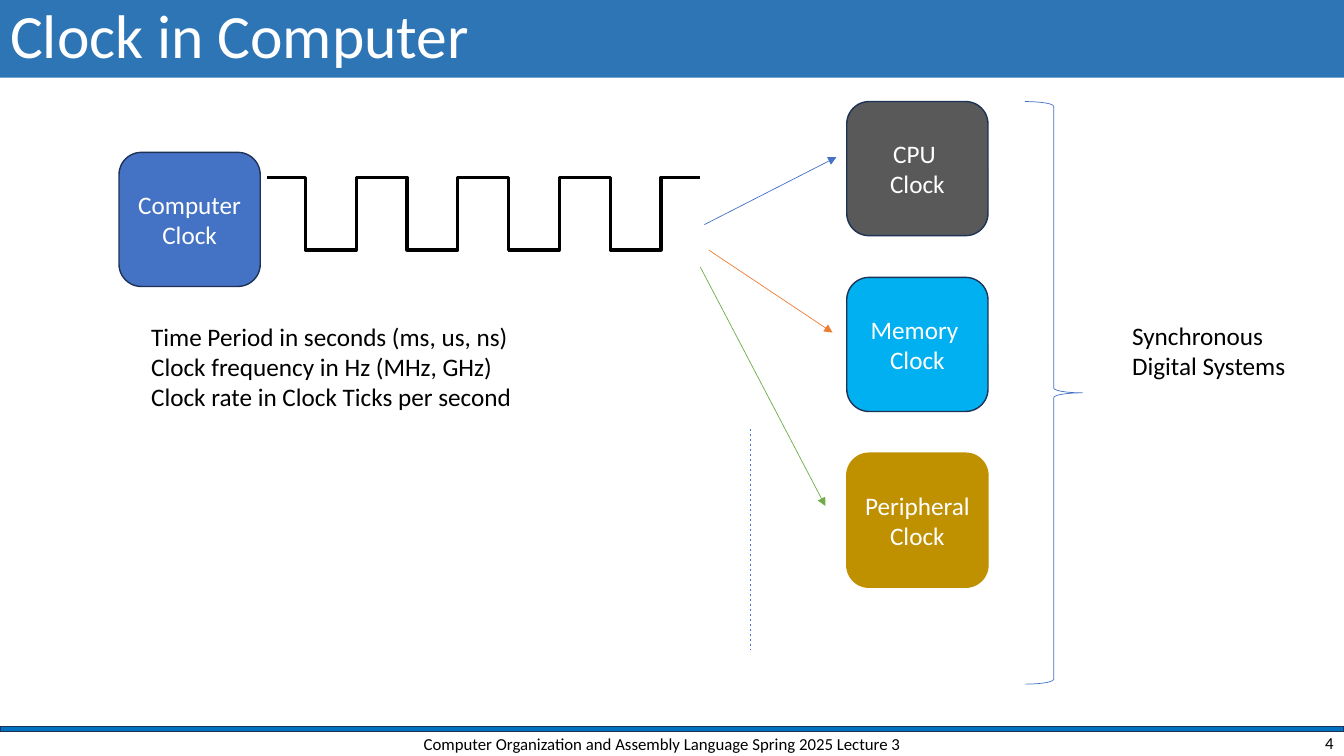
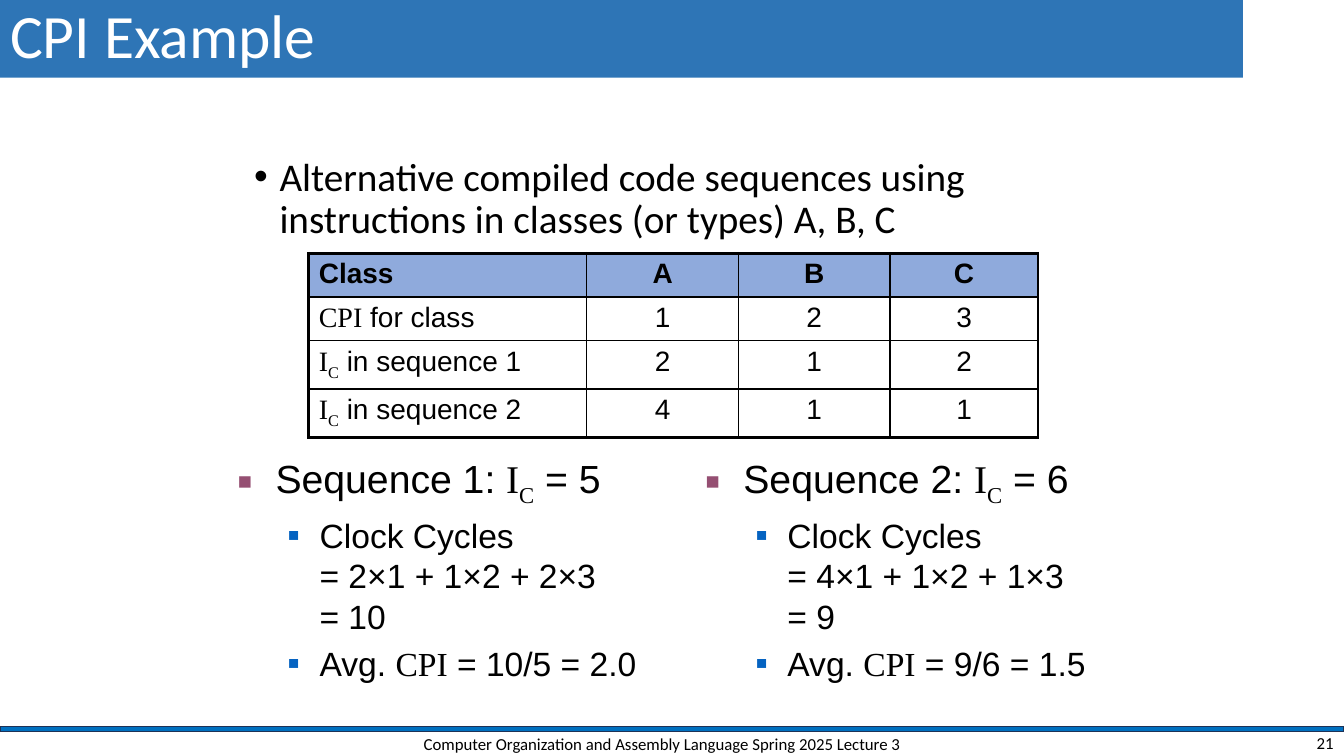
from collections import namedtuple
from dataclasses import dataclass

from lxml import etree
from pptx import Presentation
from pptx import util as u
from pptx.dml import color
from pptx.enum import dml, shapes, text
from pptx.oxml import ns


@dataclass(frozen=True)
class Theme:
    title_band: str = "2E75B6"
    footer_band: str = "0070C0"
    outline: str = "1E3256"
    blue: str = "4472C4"
    gray: str = "595959"
    sky: str = "00B0F0"
    gold: str = "BF9000"
    orange: str = "ED7D31"
    green: str = "70AD47"
    header: str = "8FAADC"
    plum: str = "954F72"
    link: str = "0563C1"
    black: str = "000000"
    white: str = "FFFFFF"
    main: str = "Calibri"
    sans: str = "Arial"
    serif: str = "Times New Roman"
    title_size: int = 44
    list_size: int = 28
    sublist_size: int = 24
    table_size: int = 20
    label_size: int = 18
    footer_size: int = 12
    hairline: float = 0.5
    thin: float = 1
    thick: float = 2.25


THEME = Theme()
WIDTH, HEIGHT = 33.87, 19.05
TITLE_HEIGHT = 1.96
FOOTER = "Computer Organization and Assembly Language Spring 2025 Lecture 3"
TITLE_ONLY, COMPARISON = 5, 4

Piece = namedtuple("Piece", "text subscript")
Bullet = namedtuple("Bullet", "char color percent indent hanging level")

CPI = Piece("CPI", False)
IC = (Piece("I", False), Piece("C", True))

DOT = Bullet("•", THEME.black, 100, 0.64, 0.64, 0)
MAIN_SQUARE = Bullet("■", THEME.plum, 60, 0.95, 0.95, 0)
SUB_SQUARE = Bullet("■", THEME.link, 55, 2.06, 0.79, 1)


def rgb(value):
    return color.RGBColor.from_string(value)


class Deck:
    def __init__(self, theme):
        self.theme = theme
        self.presentation = Presentation()
        self.presentation.slide_width = u.Cm(WIDTH)
        self.presentation.slide_height = u.Cm(HEIGHT)
        self.slide = None

    def new_slide(self, title, number, layout, title_width=WIDTH):
        layouts = self.presentation.slide_layouts
        self.slide = self.presentation.slides.add_slide(layouts[layout])
        theme = self.theme
        self.shape(shapes.MSO_SHAPE.RECTANGLE, (0, 18.31, WIDTH, 0.13),
                   theme.footer_band, theme.outline)
        shape = self.slide.shapes.title
        self.place(shape, (0, 0, title_width, TITLE_HEIGHT))
        shape.fill.solid()
        shape.fill.fore_color.rgb = rgb(theme.title_band)
        frame = shape.text_frame
        frame.text = title
        frame.auto_size = text.MSO_AUTO_SIZE.NONE
        frame.vertical_anchor = text.MSO_ANCHOR.MIDDLE
        frame.paragraphs[0].line_spacing = 0.9
        self.style_frame(frame, theme.title_size, theme.white)
        self.label(FOOTER, (9.96, 18.39, 13.46, 0.71), theme.footer_size,
                   text.PP_ALIGN.CENTER, text.MSO_ANCHOR.MIDDLE)
        self.label(number, (26.24, 18.39, 7.62, 0.64), theme.footer_size,
                   text.PP_ALIGN.RIGHT, text.MSO_ANCHOR.MIDDLE)

    def place(self, shape, box):
        shape.left, shape.top, shape.width, shape.height = map(u.Cm, box)

    def style_run(self, run, size, value, name, bold=False):
        font = run.font
        font.size, font.name, font.bold = u.Pt(size), name, bold
        font.color.rgb = rgb(value)

    def style_frame(self, frame, size, value, alignment=text.PP_ALIGN.LEFT):
        for paragraph in frame.paragraphs:
            paragraph.alignment = alignment
            for run in paragraph.runs:
                self.style_run(run, size, value, self.theme.main)

    def add_pieces(self, paragraph, pieces, size, name, bold=False):
        theme = self.theme
        for piece in pieces:
            if isinstance(piece, Piece):
                run = paragraph.add_run()
                run.text = piece.text
                self.style_run(run, size, theme.black, theme.serif, bold)
                if piece.subscript:
                    run.font._element.set("baseline", "-25000")
                continue
            for index, line in enumerate(piece.split("\n")):
                if index:
                    paragraph.add_line_break()
                run = paragraph.add_run()
                run.text = line
                self.style_run(run, size, theme.black, name, bold)

    def label(self, content, box, size, alignment=text.PP_ALIGN.LEFT,
              anchor=text.MSO_ANCHOR.TOP):
        frame = self.slide.shapes.add_textbox(*map(u.Cm, box)).text_frame
        frame.word_wrap = True
        frame.vertical_anchor = anchor
        frame.text = content
        self.style_frame(frame, size, self.theme.black, alignment)

    def shape(self, kind, box, fill, line, width=THEME.thin):
        shape = self.slide.shapes.add_shape(kind, *map(u.Cm, box))
        shape.shadow.inherit = False
        if fill:
            shape.fill.solid()
            shape.fill.fore_color.rgb = rgb(fill)
        else:
            shape.fill.background()
        shape.line.color.rgb = rgb(line)
        shape.line.width = u.Pt(width)
        return shape

    def clock(self, name, left, top, fill, line=THEME.outline):
        shape = self.shape(shapes.MSO_SHAPE.ROUNDED_RECTANGLE,
                           (left, top, 3.56, 3.38), fill, line)
        frame = shape.text_frame
        frame.text = f"{name} \nClock"
        frame.vertical_anchor = text.MSO_ANCHOR.MIDDLE
        self.style_frame(frame, self.theme.label_size, self.theme.white,
                         text.PP_ALIGN.CENTER)

    def connector(self, start, end, value, width=THEME.hairline,
                  kind=shapes.MSO_CONNECTOR.STRAIGHT, arrow=False, dash=None):
        connector = self.slide.shapes.add_connector(
            kind, *map(u.Cm, (*start, *end)))
        line = connector.line
        line.color.rgb = rgb(value)
        line.width = u.Pt(width)
        if dash:
            line.dash_style = dash
        properties = connector._element.spPr
        if arrow:
            etree.SubElement(properties.find(ns.qn("a:ln")),
                             ns.qn("a:tailEnd"), type="triangle")
        etree.SubElement(properties, ns.qn("a:effectLst"))

    def square_wave(self, first_edge, pitch, high, low, count):
        reach = 0.97
        for index in range(count):
            edge = first_edge + index * pitch
            before, after = (low, high) if index % 2 else (high, low)
            self.connector((edge - reach, before), (edge + reach, after),
                           self.theme.black, self.theme.thick,
                           shapes.MSO_CONNECTOR.ELBOW)

    def bullet(self, paragraph, bullet):
        paragraph.level = bullet.level
        properties = paragraph._p.get_or_add_pPr()
        properties.set("marL", str(u.Cm(bullet.indent)))
        properties.set("indent", str(-u.Cm(bullet.hanging)))
        tint = etree.SubElement(properties, ns.qn("a:buClr"))
        etree.SubElement(tint, ns.qn("a:srgbClr"), val=bullet.color)
        etree.SubElement(properties, ns.qn("a:buSzPct"),
                         val=str(bullet.percent * 1000))
        etree.SubElement(properties, ns.qn("a:buFont"),
                         typeface=self.theme.sans)
        etree.SubElement(properties, ns.qn("a:buChar"), char=bullet.char)

    def bullets(self, holder, box, items, name, spacing=1.0, before=None):
        shape = self.slide.placeholders[holder]
        self.place(shape, box)
        frame = shape.text_frame
        frame.auto_size = text.MSO_AUTO_SIZE.NONE
        frame.vertical_anchor = text.MSO_ANCHOR.TOP
        for index, (bullet, pieces) in enumerate(items):
            paragraph = (frame.add_paragraph() if index
                         else frame.paragraphs[0])
            size = (self.theme.sublist_size if bullet.level
                    else self.theme.list_size)
            paragraph.line_spacing = spacing
            paragraph.space_before = u.Pt(before or size * 0.2)
            self.bullet(paragraph, bullet)
            self.add_pieces(paragraph, pieces, size, name)

    def border(self, cell, side, width):
        line = etree.SubElement(cell._tc.get_or_add_tcPr(),
                                ns.qn(f"a:ln{side}"), w=str(u.Pt(width)))
        fill = etree.SubElement(line, ns.qn("a:solidFill"))
        etree.SubElement(fill, ns.qn("a:srgbClr"), val=self.theme.black)

    def table(self, left, top, widths, row_height, rows):
        theme = self.theme
        last_row, last_column = len(rows) - 1, len(widths) - 1
        table = self.slide.shapes.add_table(
            len(rows), len(widths), u.Cm(left), u.Cm(top),
            u.Cm(sum(widths)), u.Cm(row_height * len(rows))).table
        table.first_row = table.horz_banding = False
        for column, width in zip(table.columns, widths):
            column.width = u.Cm(width)
        for row, values in enumerate(rows):
            table.rows[row].height = u.Cm(row_height)
            for column, pieces in enumerate(values):
                cell = table.cell(row, column)
                heavy = {"L": column == 0, "R": column == last_column,
                         "T": row <= 1, "B": row in (0, last_row)}
                for side, strong in heavy.items():
                    self.border(cell, side,
                                theme.thick if strong else theme.thin)
                cell.fill.solid()
                cell.fill.fore_color.rgb = rgb(
                    theme.white if row else theme.header)
                paragraph = cell.text_frame.paragraphs[0]
                paragraph.space_before = u.Pt(theme.table_size * 0.2)
                paragraph.alignment = (text.PP_ALIGN.CENTER if column
                                       else text.PP_ALIGN.LEFT)
                self.add_pieces(paragraph, pieces, theme.table_size,
                                theme.sans, bold=row == 0)

    def remove_placeholder(self, holder):
        element = self.slide.placeholders[holder]._element
        element.getparent().remove(element)


def clock_slide(deck):
    theme = deck.theme
    deck.new_slide("Clock in Computer", "4", TITLE_ONLY)
    deck.square_wave(7.7, 1.28, 4.47, 6.3, 8)
    deck.clock("Computer", 3, 3.84, theme.blue)
    targets = (("CPU", theme.gray, theme.outline),
               ("Memory", theme.sky, theme.outline),
               ("Peripheral", theme.gold, theme.gold))
    for index, (name, fill, line) in enumerate(targets):
        deck.clock(name, 21.34, 2.56 + index * 4.43, fill, line)
    arrows = (((17.75, 5.66), (21.08, 3.96), theme.blue),
              ((17.86, 6.3), (20.98, 8.38), theme.orange),
              ((17.65, 6.73), (20.8, 12.75), theme.green))
    for start, end, value in arrows:
        deck.connector(start, end, value, arrow=True)
    deck.connector((18.92, 10.8), (18.92, 16.38), theme.blue,
                   dash=dml.MSO_LINE.DASH)
    deck.label("Time Period in seconds (ms, us, ns)\n"
               "Clock frequency in Hz (MHz, GHz)\n"
               "Clock rate in Clock Ticks per second",
               (3.56, 7.96, 9.8, 2.57), theme.label_size)
    deck.shape(shapes.MSO_SHAPE.RIGHT_BRACE, (25.83, 2.56, 1.45, 14.68),
               None, theme.blue, theme.hairline)
    deck.label("Synchronous\nDigital Systems", (28.28, 7.94, 4.7, 1.8),
               theme.label_size)


def cpi_slide(deck):
    theme = deck.theme
    deck.new_slide("CPI Example", "21", COMPARISON, 31.32)
    deck.bullets(1, (6.15, 3.84, 22.99, 2.77), [
        (DOT, ["Alternative compiled code sequences using "
               "instructions in classes (or types) A, B, C"]),
    ], theme.main, spacing=0.9, before=10)
    deck.table(7.78, 6.38, (7.01, 3.82, 3.82, 3.73), 1.1, [
        (["Class"], "A", "B", "C"),
        ([CPI, " for class"], "1", "2", "3"),
        ([*IC, " in sequence 1"], "2", "1", "2"),
        ([*IC, " in sequence 2"], "4", "1", "1"),
    ])
    sequences = ((2, 5.74, "1", "5", "2×1 + 1×2 + 2×3", "10", "2.0"),
                 (4, 17.53, "2", "6", "4×1 + 1×2 + 1×3", "9", "1.5"))
    for holder, left, number, count, products, cycles, average in sequences:
        deck.bullets(holder, (left, 11.33, 10.8, 5.79), [
            (MAIN_SQUARE, [f"Sequence {number}: ", *IC, f" = {count}"]),
            (SUB_SQUARE, [f"Clock Cycles\n= {products}\n= {cycles}"]),
            (SUB_SQUARE, ["Avg. ", CPI, f" = {cycles}/{count} = {average}"]),
        ], theme.sans)
    deck.remove_placeholder(3)


def main():
    deck = Deck(THEME)
    clock_slide(deck)
    cpi_slide(deck)
    deck.presentation.save("out.pptx")


if __name__ == "__main__":
    main()
